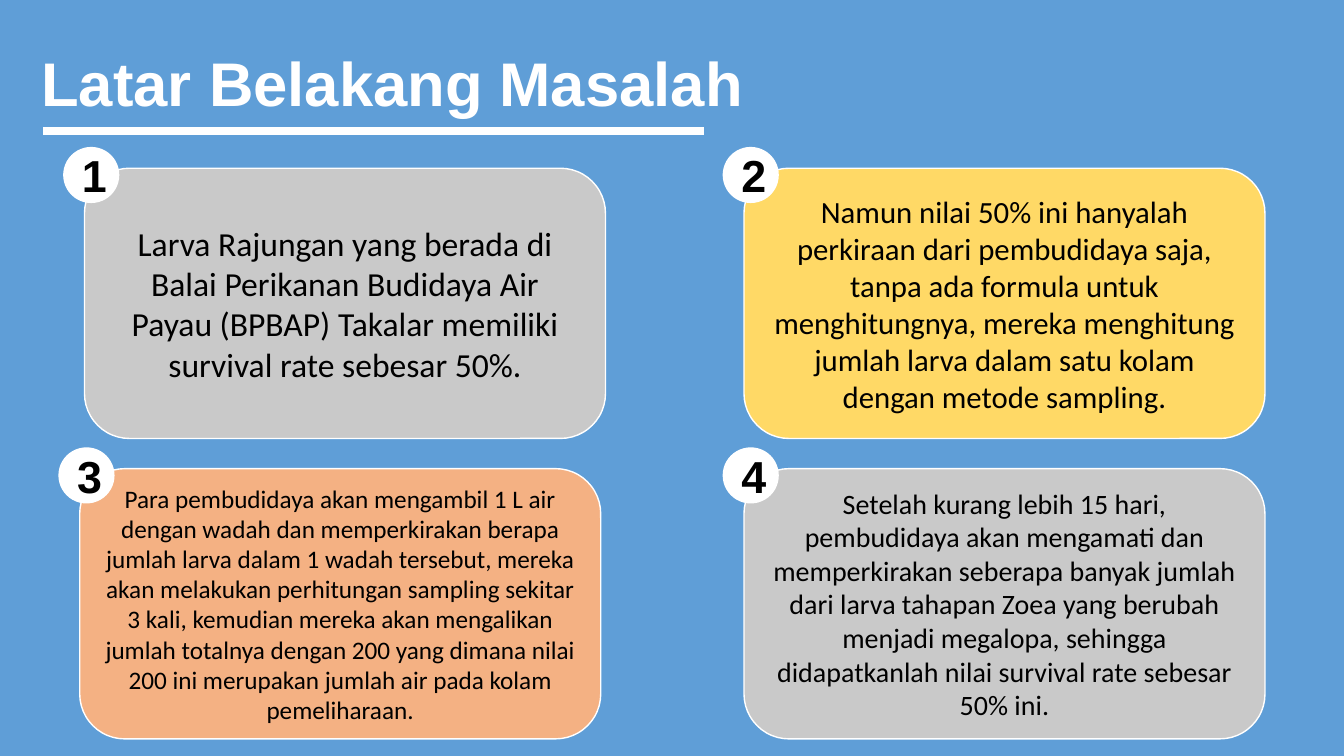
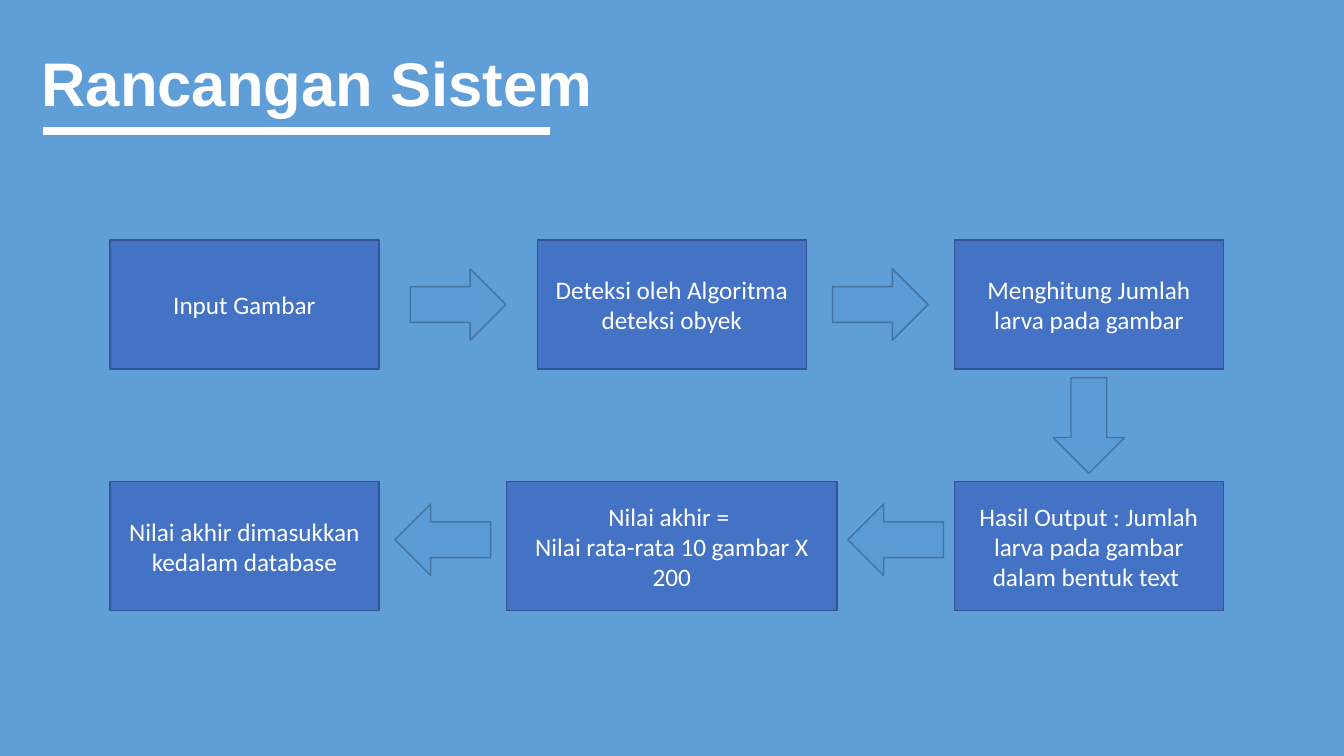
from dataclasses import dataclass

from lxml import etree
from pptx import Presentation
from pptx.dml.color import RGBColor
from pptx.enum.shapes import MSO_CONNECTOR, MSO_SHAPE
from pptx.enum.text import MSO_ANCHOR, MSO_AUTO_SIZE, PP_ALIGN
from pptx.oxml.ns import qn
from pptx.util import Cm, Pt

ROUNDED, OVAL = MSO_SHAPE.ROUNDED_RECTANGLE, MSO_SHAPE.OVAL
RECT, ARROW = MSO_SHAPE.RECTANGLE, MSO_SHAPE.RIGHT_ARROW
STRAIGHT = MSO_CONNECTOR.STRAIGHT
MIDDLE, NO_FIT = MSO_ANCHOR.MIDDLE, MSO_AUTO_SIZE.NONE
LEFT, CENTER = PP_ALIGN.LEFT, PP_ALIGN.CENTER
TITLE_ONLY = 5


@dataclass(frozen=True)
class Theme:
    background: str = "5F9ED7"
    white: str = "FFFFFF"
    black: str = "000000"
    grey: str = "C9C9C9"
    yellow: str = "FFD966"
    orange: str = "F4B183"
    step: str = "4472C4"
    step_line: str = "325491"
    arrow: str = "5B9BD5"
    arrow_line: str = "43739E"
    heading_font: str = "Arial"
    body_font: str = "Calibri"
    title_size: int = 44
    badge_size: int = 32
    step_size: int = 18
    rule_width: int = 6
    outline: int = 1


THEME = Theme()
SLIDE_W, SLIDE_H = 33.87, 19.05
TITLE_BOX = (0.79, 0.33, 29.21, 3.68)
RULE_X, RULE_Y = 1.09, 3.3
CARD_W, CARD_H = 13.13, 6.81
BADGE_D, BADGE_SHIFT = 1.38, 0.52
STEP_W, WIDE_STEP_W, STEP_H = 6.78, 8.33, 3.25
ARROW_W, ARROW_H = 2.41, 1.8

CARDS = [
    (2.13, 4.24, THEME.grey, 24,
     "Larva Rajungan yang berada di Balai Perikanan Budidaya Air Payau "
     "(BPBAP) Takalar memiliki survival rate sebesar 50%."),
    (18.75, 4.24, THEME.yellow, 22,
     "Namun nilai 50% ini hanyalah perkiraan dari pembudidaya saja, tanpa "
     "ada formula untuk menghitungnya, mereka menghitung jumlah larva dalam "
     "satu kolam dengan metode sampling."),
    (2.01, 11.81, THEME.orange, 18,
     "Para pembudidaya akan mengambil 1 L air dengan wadah dan memperkirakan "
     "berapa jumlah larva dalam 1 wadah tersebut, mereka akan melakukan "
     "perhitungan sampling sekitar 3 kali, kemudian mereka akan mengalikan "
     "jumlah totalnya dengan 200 yang dimana nilai 200 ini merupakan jumlah "
     "air pada kolam pemeliharaan."),
    (18.75, 11.81, THEME.grey, 20,
     "Setelah kurang lebih 15 hari, pembudidaya akan mengamati dan "
     "memperkirakan seberapa banyak jumlah dari larva tahapan Zoea yang "
     "berubah menjadi megalopa, sehingga didapatkanlah nilai survival rate "
     "sebesar 50% ini."),
]

COLUMN_CENTERS = (6.16, 16.93, 27.44)
TOP_ROW = [
    (STEP_W, ["Input Gambar"]),
    (STEP_W, ["Deteksi oleh Algoritma deteksi obyek"]),
    (STEP_W, ["Menghitung Jumlah larva pada gambar"]),
]
BOTTOM_ROW = [
    (STEP_W, ["Nilai akhir dimasukkan kedalam database"]),
    (WIDE_STEP_W, ["Nilai akhir = ", "Nilai rata-rata 10 gambar X 200"]),
    (STEP_W, ["Hasil Output : Jumlah larva pada gambar dalam bentuk text "]),
]


def set_attrs(target, values):
    for name, value in values.items():
        setattr(target, name, value)


def place(sp, box):
    set_attrs(sp, dict(zip(("left", "top", "width", "height"), map(Cm, box))))


def write(tf, lines, font, size, color, bold=False, align=CENTER, spacing=None):
    set_attrs(tf, {"word_wrap": True, "auto_size": NO_FIT, "vertical_anchor": MIDDLE})
    for i, line in enumerate(lines):
        p = tf.add_paragraph() if i else tf.paragraphs[0]
        set_attrs(p, {"alignment": align, "line_spacing": spacing})
        r = p.add_run()
        r.text = line
        set_attrs(r.font, {"name": font, "size": Pt(size), "bold": bold})
        r.font.color.rgb = RGBColor.from_string(color)


def add_shape(slide, kind, box, fill, line):
    sp = slide.shapes.add_shape(kind, *map(Cm, box))
    sp.shadow.inherit = False
    sp.fill.solid()
    sp.fill.fore_color.rgb = RGBColor.from_string(fill)
    sp.line.color.rgb = RGBColor.from_string(line)
    sp.line.width = Pt(THEME.outline)
    return sp


def add_titled_slide(prs, title, rule_end):
    slide = prs.slides.add_slide(prs.slide_layouts[TITLE_ONLY])
    place(slide.shapes.title, TITLE_BOX)
    write(slide.shapes.title.text_frame, [title], THEME.heading_font,
          THEME.title_size, THEME.white, True, LEFT, 0.9)
    rule = slide.shapes.add_connector(
        STRAIGHT, *map(Cm, (RULE_X, RULE_Y, rule_end, RULE_Y)))
    rule.line.color.rgb = RGBColor.from_string(THEME.white)
    rule.line.width = Pt(THEME.rule_width)
    etree.SubElement(rule._element.spPr, qn("a:effectLst"))
    return slide


def add_card(slide, number, x, y, fill, size, text):
    card = add_shape(slide, ROUNDED, (x, y, CARD_W, CARD_H), fill, THEME.white)
    write(card.text_frame, [text], THEME.body_font, size, THEME.black)
    badge_box = (x - BADGE_SHIFT, y - BADGE_SHIFT, BADGE_D, BADGE_D)
    badge = add_shape(slide, OVAL, badge_box, THEME.white, THEME.white)
    write(badge.text_frame, [str(number)], THEME.heading_font,
          THEME.badge_size, THEME.black, True)


def add_arrow(slide, center_x, center_y, rotation):
    box = (center_x - ARROW_W / 2, center_y - ARROW_H / 2, ARROW_W, ARROW_H)
    sp = add_shape(slide, ARROW, box, THEME.arrow, THEME.arrow_line)
    sp.rotation = rotation


def add_step_row(slide, top, steps, arrow_y, rotation):
    previous_right = None
    for center, (width, lines) in zip(COLUMN_CENTERS, steps):
        left = center - width / 2
        sp = add_shape(slide, RECT, (left, top, width, STEP_H),
                       THEME.step, THEME.step_line)
        write(sp.text_frame, lines, THEME.body_font, THEME.step_size, THEME.white)
        if previous_right is not None:
            add_arrow(slide, (previous_right + left) / 2, arrow_y, rotation)
        previous_right = left + width


def build_background_slide(prs):
    slide = add_titled_slide(prs, "Latar Belakang Masalah", 17.73)
    for number, card in enumerate(CARDS, 1):
        add_card(slide, number, *card)


def build_system_slide(prs):
    slide = add_titled_slide(prs, "Rancangan Sistem", 13.87)
    top, bottom = 6.05, 12.14
    add_step_row(slide, top, TOP_ROW, top + STEP_H / 2, 0)
    add_step_row(slide, bottom, BOTTOM_ROW, 13.6, 180)
    add_arrow(slide, COLUMN_CENTERS[-1], (top + STEP_H + bottom) / 2, 90)


def main():
    prs = Presentation()
    set_attrs(prs, {"slide_width": Cm(SLIDE_W), "slide_height": Cm(SLIDE_H)})
    fill = prs.slide_master.background.fill
    fill.solid()
    fill.fore_color.rgb = RGBColor.from_string(THEME.background)
    build_background_slide(prs)
    build_system_slide(prs)
    prs.save("out.pptx")


if __name__ == "__main__":
    main()
